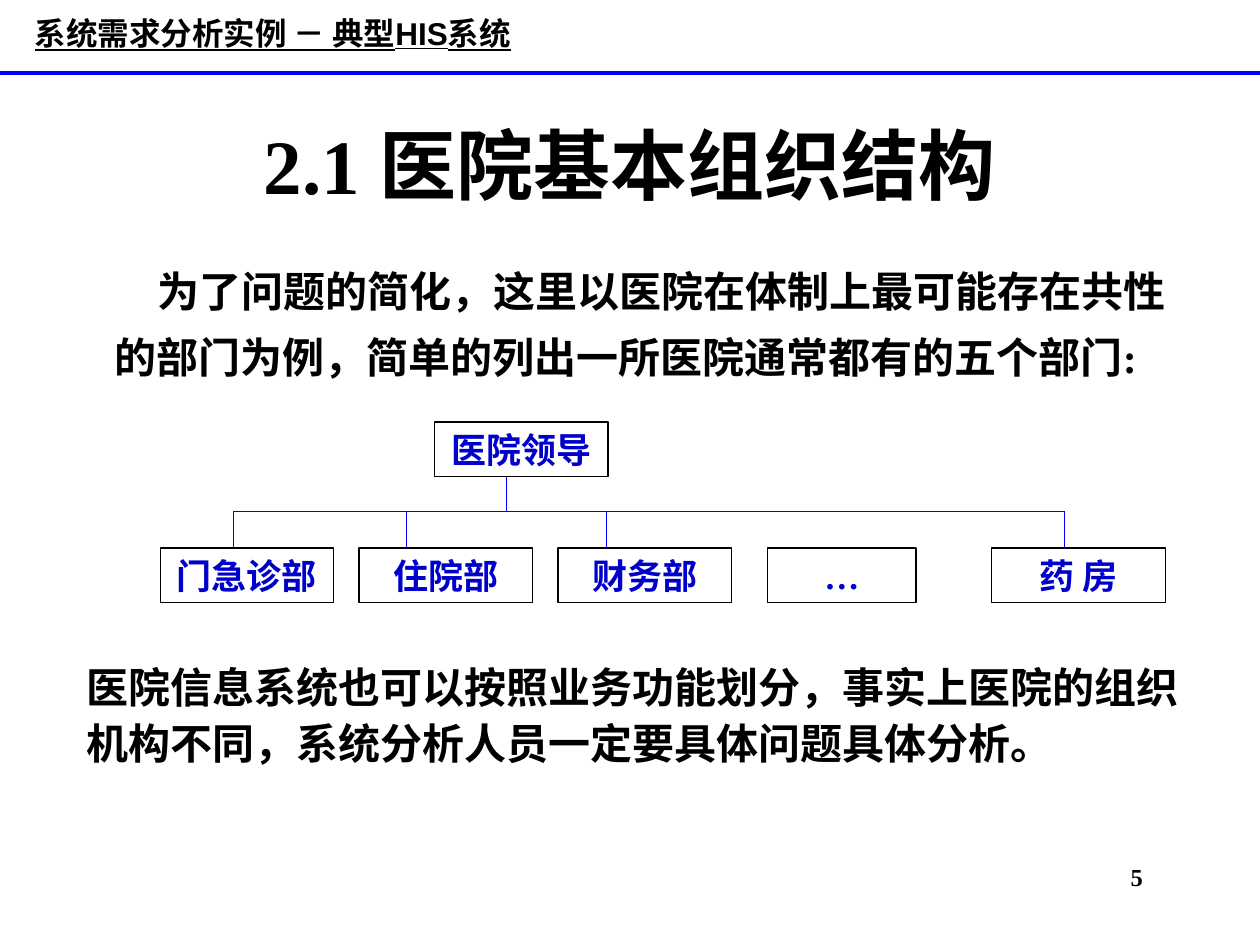
import pptx
import pptx.dml.color
import pptx.enum.shapes
import pptx.enum.text
import pptx.util
from dataclasses import dataclass
from lxml import etree

Cm = pptx.util.Cm
ALIGN = pptx.enum.text.PP_ALIGN
ANCHOR = pptx.enum.text.MSO_ANCHOR


@dataclass(frozen=True)
class Theme:
    serif: str = "Times New Roman"
    sans: str = "Arial"
    text: str = "000000"
    box_text: str = "0000CC"
    box_fill: str = "FFFFFF"
    line: str = "0000FF"
    title_size: int = 44
    body_size: int = 24
    box_size: int = 20
    header_size: int = 18
    number_size: int = 14


theme = Theme()
rgb = pptx.dml.color.RGBColor.from_string


def write_text(shape, text, size, font=theme.serif, color=theme.text,
               align=ALIGN.LEFT, anchor=ANCHOR.TOP, wrap=True):
    """Put one bold paragraph into the shape and return the paragraph."""
    frame = shape.text_frame
    frame.text = text
    frame.word_wrap = wrap
    frame.auto_size = pptx.enum.text.MSO_AUTO_SIZE.NONE
    frame.vertical_anchor = anchor
    paragraph = frame.paragraphs[0]
    paragraph.alignment = align
    run_font = paragraph.runs[0].font
    run_font.name = font
    run_font.size = pptx.util.Pt(size)
    run_font.bold = True
    run_font.color.rgb = rgb(color)
    return paragraph


def add_line(slide, x1, y1, x2, y2, width):
    """Draw a straight line without shadow; coordinates in centimetres."""
    line = slide.shapes.add_connector(
        pptx.enum.shapes.MSO_CONNECTOR.STRAIGHT, Cm(x1), Cm(y1), Cm(x2), Cm(y2))
    line.line.color.rgb = rgb(theme.line)
    line.line.width = pptx.util.Pt(width)
    etree.SubElement(line._element.spPr, pptx.oxml.ns.qn("a:effectLst"))


presentation = pptx.Presentation()
presentation.slide_width = Cm(25.4)
presentation.slide_height = Cm(19.05)
slide = presentation.slides.add_slide(presentation.slide_layouts[1])

# Header
add_line(slide, 0, 1.47, 25.4, 1.47, 2.25)
header = slide.shapes.add_textbox(Cm(0.1), Cm(0.2), Cm(10.8), Cm(0.91))
paragraph = write_text(header, "系统需求分析实例 － 典型HIS系统", theme.header_size,
                       font=theme.sans, align=ALIGN.CENTER,
                       anchor=ANCHOR.MIDDLE, wrap=False)
paragraph.runs[0].font.underline = True

# Title and introduction
title = slide.shapes.title
title.left, title.top, title.width, title.height = Cm(1.9), Cm(1.7), Cm(21.6), Cm(3.18)
write_text(title, "2.1 医院基本组织结构", theme.title_size,
           align=ALIGN.CENTER, anchor=ANCHOR.MIDDLE)

body = slide.placeholders[1]
body.left, body.top, body.width, body.height = Cm(1.09), Cm(4.93), Cm(23.11), Cm(3.78)
paragraph = write_text(
    body,
    "为了问题的简化，这里以医院在体制上最可能存在共性的部门为例，"
    "简单的列出一所医院通常都有的五个部门:",
    theme.body_size)
paragraph.line_spacing = 1.3
paragraph.space_before = pptx.util.Pt(6)
properties = paragraph._p.get_or_add_pPr()
properties.set("marL", str(Cm(0.97)))
properties.set("indent", str(Cm(0.86)))
properties.append(pptx.oxml.parse_xml(
    f"<a:buNone {pptx.oxml.ns.nsdecls('a')}/>"))

# Organisation chart: one stem, one bus line and a drop to each named department
leader_top, bus_y, row_top = 8.51, 10.31, 11.05
box_width, box_height, pitch = 3.5, 1.1, 4.01
first_left = 3.23

add_line(slide, 4.7, bus_y, 21.46, bus_y, 0.75)
add_line(slide, 10.21, leader_top + box_height, 10.21, bus_y, 0.75)
for drop_x in (4.7, 8.2, 12.22, 21.46):
    add_line(slide, drop_x, bus_y, drop_x, row_top, 0.75)

boxes = [("医院领导", 8.76, leader_top, box_width)]
for column, name in enumerate(("门急诊部", "住院部", "财务部")):
    boxes.append((name, first_left + column * pitch, row_top, box_width))
boxes += [("…", 15.47, row_top, 3), ("药 房", 19.99, row_top, box_width)]

for name, left, top, width in boxes:
    box = slide.shapes.add_shape(pptx.enum.shapes.MSO_SHAPE.RECTANGLE,
                                 Cm(left), Cm(top), Cm(width), Cm(box_height))
    box.shadow.inherit = False
    box.fill.solid()
    box.fill.fore_color.rgb = rgb(theme.box_fill)
    box.line.color.rgb = rgb(theme.text)
    box.line.width = pptx.util.Pt(0.75)
    write_text(box, name, theme.box_size, color=theme.box_text, align=ALIGN.CENTER)

# Closing remark and page number
remark = slide.shapes.add_textbox(Cm(1.5), Cm(13.11), Cm(23.01), Cm(2.49))
paragraph = write_text(
    remark,
    "医院信息系统也可以按照业务功能划分，事实上医院的组织机构不同，"
    "系统分析人员一定要具体问题具体分析。",
    theme.body_size, font=theme.sans, anchor=ANCHOR.MIDDLE)
paragraph.line_spacing = 1.1

number = slide.shapes.add_textbox(Cm(18), Cm(17.25), Cm(5.29), Cm(1.27))
write_text(number, "5", theme.number_size, align=ALIGN.RIGHT)

presentation.save("out.pptx")
